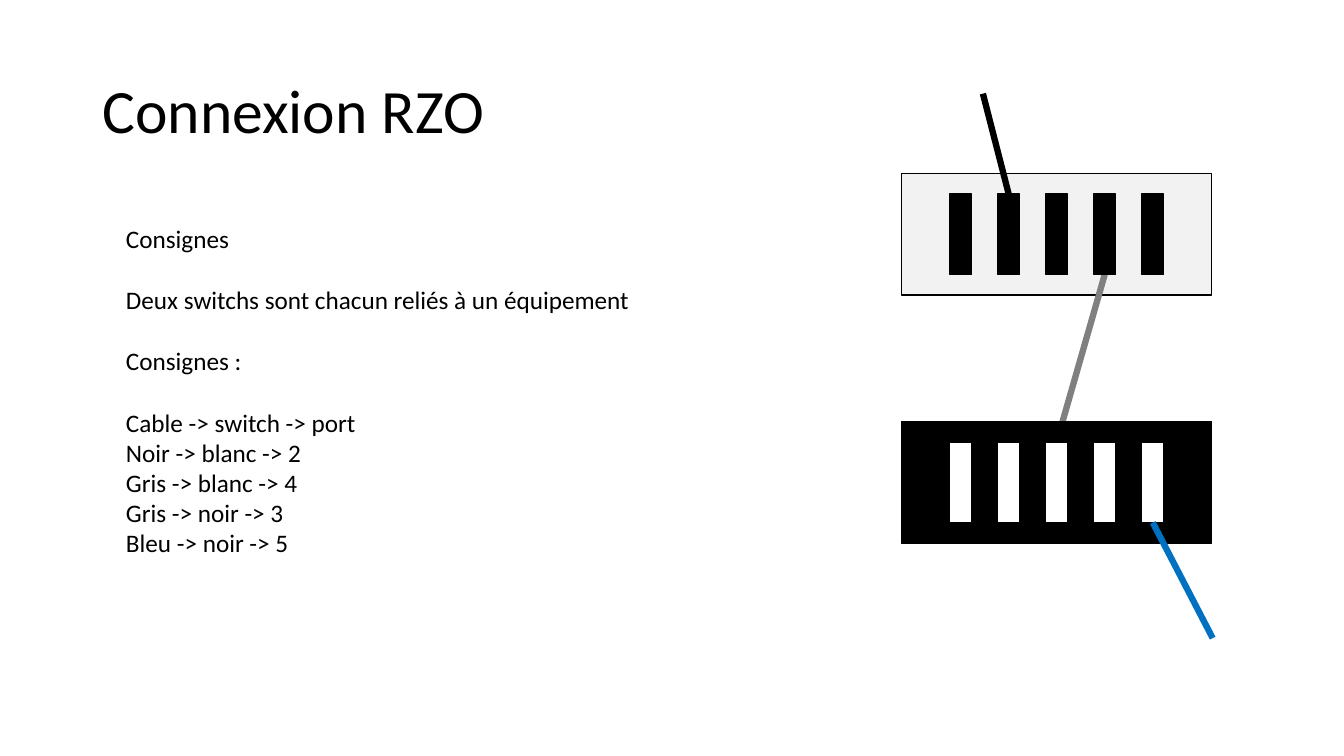
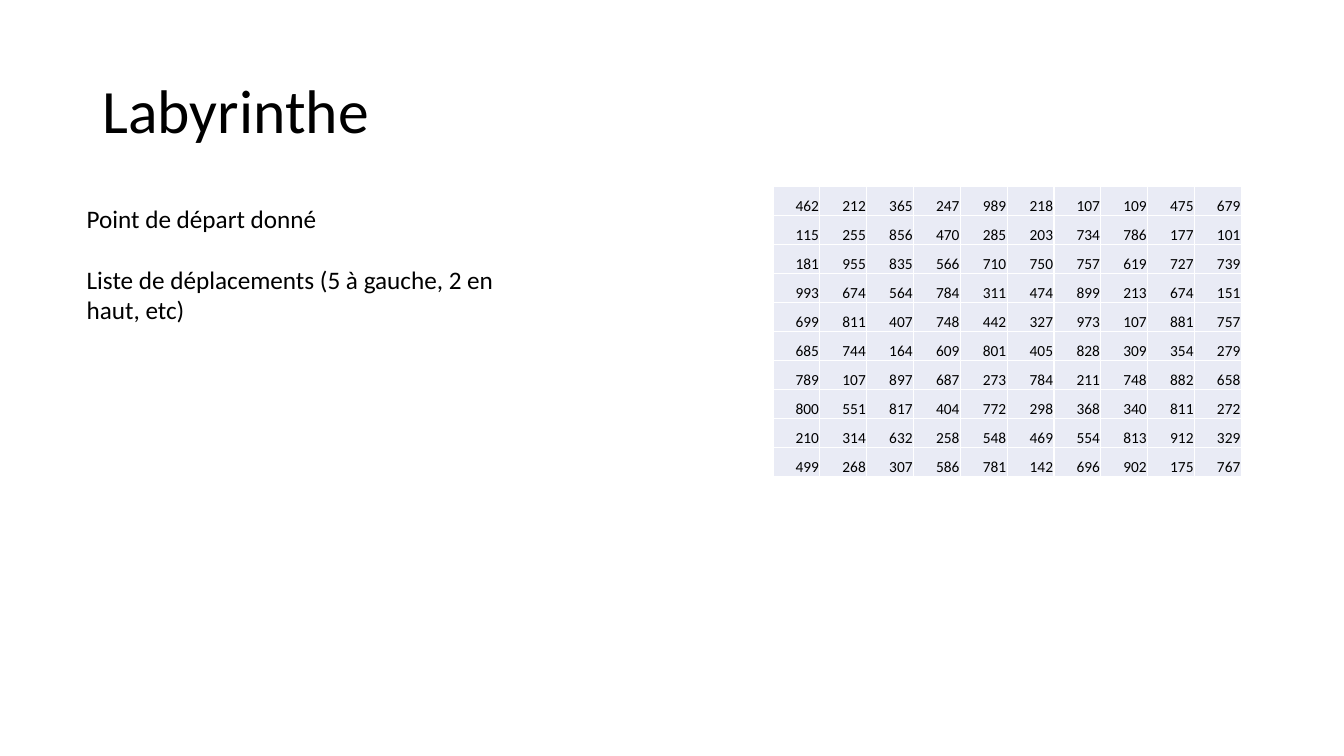
"""Build two puzzle slides: a network wiring exercise and a number maze."""
from dataclasses import dataclass

from lxml import etree
from pptx import Presentation
from pptx import util as u
from pptx.dml.color import RGBColor
from pptx.enum import shapes, text
from pptx.oxml import parse_xml
from pptx.oxml.ns import nsdecls, qn


@dataclass(frozen=True)
class Theme:
    font: str = "Calibri"
    black: RGBColor = RGBColor(0x00, 0x00, 0x00)
    white: RGBColor = RGBColor(0xFF, 0xFF, 0xFF)
    panel: RGBColor = RGBColor(0xF2, 0xF2, 0xF2)
    grey: RGBColor = RGBColor(0x80, 0x80, 0x80)
    blue: RGBColor = RGBColor(0x00, 0x70, 0xC0)
    cell: RGBColor = RGBColor(0xE9, 0xEB, 0xF5)
    title: u.Pt = u.Pt(44)
    body: u.Pt = u.Pt(18)
    number: u.Pt = u.Pt(11)
    block_gap: u.Pt = u.Pt(22)
    outline: u.Pt = u.Pt(1)
    cable: u.Pt = u.Pt(4.5)


theme = Theme()


def write(paragraph, words, size, align=text.PP_ALIGN.LEFT):
    paragraph.alignment = align
    run = paragraph.add_run()
    run.text = words
    run.font.name = theme.font
    run.font.size = size
    run.font.color.rgb = theme.black


def add_box(slide, left, top, width, height, fill):
    box = slide.shapes.add_shape(
        shapes.MSO_SHAPE.RECTANGLE, u.Cm(left), u.Cm(top), u.Cm(width), u.Cm(height))
    box.shadow.inherit = False
    box.fill.solid()
    box.fill.fore_color.rgb = fill
    box.line.color.rgb = theme.black
    box.line.width = theme.outline
    return box


deck = Presentation()
deck.slide_width, deck.slide_height = u.Cm(33.87), u.Cm(19.05)
layout = deck.slide_layouts[1]
heading = layout.placeholders[0]
heading.left, heading.top = u.Cm(2.33), u.Cm(1.01)
heading.width, heading.height = u.Cm(29.21), u.Cm(3.68)
heading.text_frame.vertical_anchor = text.MSO_ANCHOR.MIDDLE

pages = [
    ("Connexion RZO", (2.92, 5.51, 13.36, 8.71), False, [
        ["Consignes"],
        ["Deux switchs sont chacun reliés à un équipement"],
        ["Consignes :"],
        ["Cable -> switch -> port", "Noir -> blanc -> 2", "Gris -> blanc -> 4",
         "Gris -> noir -> 3", "Bleu -> noir -> 5"],
    ]),
    ("Labyrinthe", (1.93, 5.0, 11.13, 4.88), True, [
        ["Point de départ donné"],
        ["Liste de déplacements (5 à gauche, 2 en haut, etc)"],
    ]),
]

for title, place, wrap, blocks in pages:
    slide = deck.slides.add_slide(layout)
    title_line = slide.shapes.title.text_frame.paragraphs[0]
    title_line.line_spacing = 0.9
    write(title_line, title, theme.title)

    instructions = slide.placeholders[1]
    instructions.left, instructions.top, instructions.width, instructions.height = map(u.Cm, place)
    frame = instructions.text_frame
    frame.word_wrap = wrap
    frame.auto_size = text.MSO_AUTO_SIZE.NONE
    frame.vertical_anchor = text.MSO_ANCHOR.TOP
    lines = [(line, block > 0 and row == 0)
             for block, block_lines in enumerate(blocks)
             for row, line in enumerate(block_lines)]
    for index, (line, opens_block) in enumerate(lines):
        paragraph = frame.add_paragraph() if index else frame.paragraphs[0]
        paragraph.space_before = theme.block_gap if opens_block else u.Pt(0)
        properties = paragraph._p.get_or_add_pPr()
        properties.set("marL", "0")
        properties.set("indent", "0")
        etree.SubElement(properties, qn("a:buNone"))
        write(paragraph, line, theme.body)

wiring, maze = deck.slides

panel_left, panel_width, panel_height = 22.72, 7.82, 3.07
port_count, port_width, port_height, port_pitch = 5, 0.55, 2.03, 1.21
first_port = panel_left + (panel_width - port_width - (port_count - 1) * port_pitch) / 2
port_inset = (panel_height - port_height) / 2

cables = []
for start, end, colour in [
    ((24.77, 2.36), (25.42, 4.89), theme.black),
    ((27.84, 6.92), (26.63, 11.14), theme.grey),
    ((29.05, 13.17), (30.56, 16.08), theme.blue),
]:
    cable = wiring.shapes.add_connector(
        shapes.MSO_CONNECTOR.STRAIGHT, *map(u.Cm, start + end))
    cable.line.color.rgb = colour
    cable.line.width = theme.cable
    etree.SubElement(cable._element.spPr, qn("a:effectLst"))
    cables.append(cable)
black_cable, grey_cable, blue_cable = cables

switches = []
for panel_top, panel_fill, port_fill in [
    (4.37, theme.panel, theme.black),
    (10.62, theme.black, theme.white),
]:
    panel = add_box(wiring, panel_left, panel_top, panel_width, panel_height, panel_fill)
    ports = [add_box(wiring, first_port + i * port_pitch, panel_top + port_inset,
                     port_width, port_height, port_fill) for i in range(port_count)]
    switches.append((panel, ports))
(white_panel, white_ports), (black_panel, black_ports) = switches

black_cable.end_connect(white_ports[1], 0)
grey_cable.begin_connect(white_ports[3], 2)
grey_cable.end_connect(black_ports[2], 0)
blue_cable.begin_connect(black_ports[4], 2)

white_panel._element.getparent().insert(2, white_panel._element)
for front in [white_panel, black_cable, grey_cable, *white_ports,
              black_panel, *black_ports, blue_cable]:
    wiring.shapes._spTree.append(front._element)

numbers = [
    [462, 212, 365, 247, 989, 218, 107, 109, 475, 679],
    [115, 255, 856, 470, 285, 203, 734, 786, 177, 101],
    [181, 955, 835, 566, 710, 750, 757, 619, 727, 739],
    [993, 674, 564, 784, 311, 474, 899, 213, 674, 151],
    [699, 811, 407, 748, 442, 327, 973, 107, 881, 757],
    [685, 744, 164, 609, 801, 405, 828, 309, 354, 279],
    [789, 107, 897, 687, 273, 784, 211, 748, 882, 658],
    [800, 551, 817, 404, 772, 298, 368, 340, 811, 272],
    [210, 314, 632, 258, 548, 469, 554, 813, 912, 329],
    [499, 268, 307, 586, 781, 142, 696, 902, 175, 767],
]
column_width, row_height = 1.18, 0.73
grid = maze.shapes.add_table(
    len(numbers), len(numbers[0]), u.Cm(19.48), u.Cm(4.7),
    u.Cm(column_width * len(numbers[0])), u.Cm(row_height * len(numbers))).table
grid.first_row = grid.horz_banding = False
for column in grid.columns:
    column.width = u.Cm(column_width)
for row, values in zip(grid.rows, numbers):
    row.height = u.Cm(row_height)
    for cell, value in zip(row.cells, values):
        cell.margin_left = cell.margin_right = cell.margin_top = u.Cm(0.02)
        cell.margin_bottom = 0
        cell.vertical_anchor = text.MSO_ANCHOR.BOTTOM
        cell.fill.solid()
        cell.fill.fore_color.rgb = theme.cell
        write(cell.text_frame.paragraphs[0], str(value), theme.number, text.PP_ALIGN.RIGHT)
        for position, edge in enumerate(("lnL", "lnR", "lnT", "lnB")):
            cell._tc.tcPr.insert(position, parse_xml(
                f'<a:{edge} {nsdecls("a")} w="{theme.outline}"><a:solidFill>'
                f'<a:srgbClr val="{theme.white}"/></a:solidFill></a:{edge}>'))

deck.save("out.pptx")
